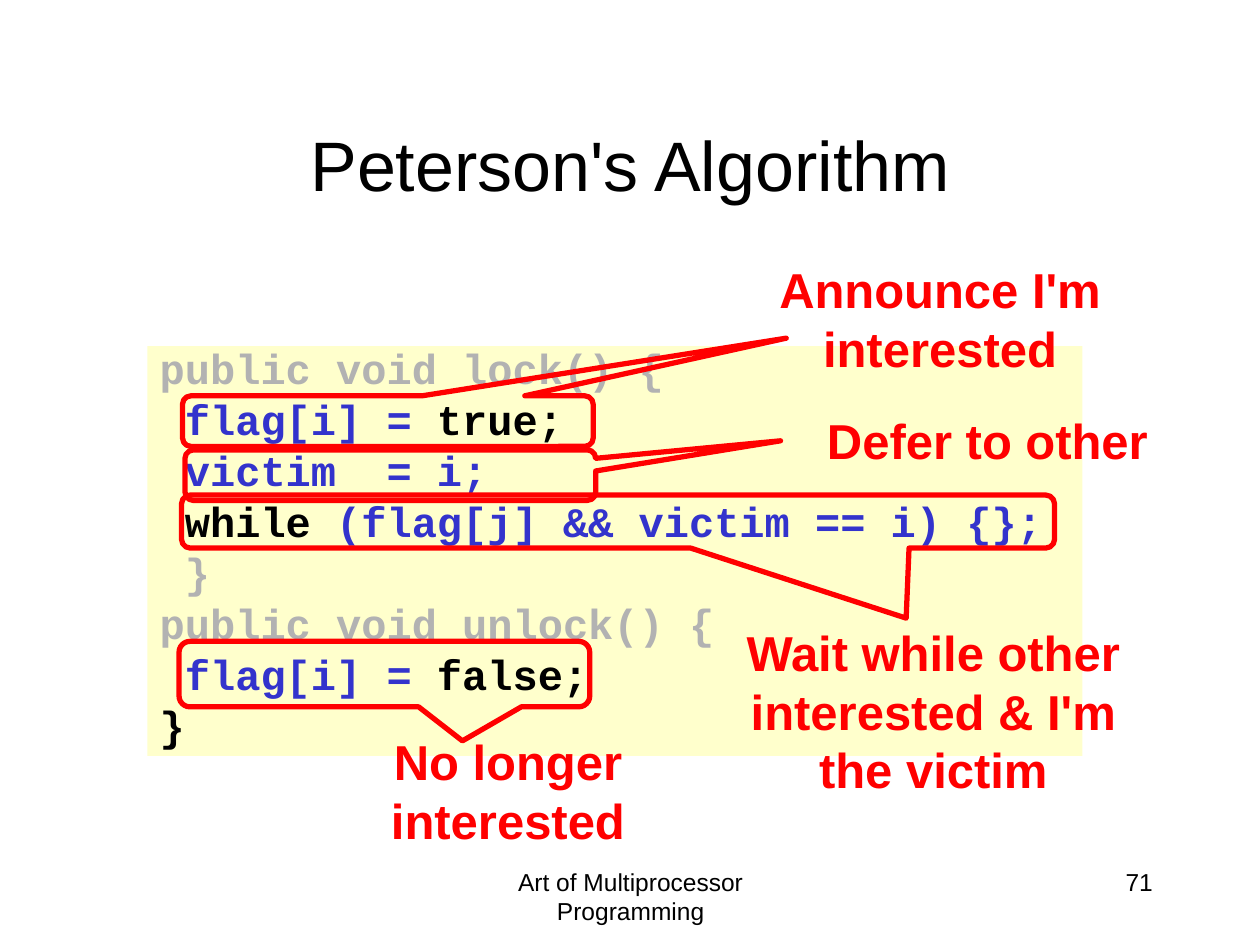
from dataclasses import dataclass

from pptx import Presentation
from pptx.dml.color import RGBColor
from pptx.enum.shapes import MSO_SHAPE
from pptx.enum.text import MSO_ANCHOR, PP_ALIGN
from pptx.slide import Slide
from pptx.text.text import Font
from pptx.util import Cm, Pt

RECTANGLE = MSO_SHAPE.RECTANGLE
CALLOUT = MSO_SHAPE.ROUNDED_RECTANGULAR_CALLOUT
TOP, MIDDLE = MSO_ANCHOR.TOP, MSO_ANCHOR.MIDDLE
LEFT, CENTER, RIGHT = PP_ALIGN.LEFT, PP_ALIGN.CENTER, PP_ALIGN.RIGHT


@dataclass(frozen=True)
class Theme:
    text_font: str = "Arial"
    code_font: str = "Courier New"
    black: str = "000000"
    red: str = "FF0000"
    blue: str = "3333CC"
    gray: str = "B2B2B2"
    code_fill: str = "FFFFCC"
    title_size: float = 40
    label_size: float = 28
    code_size: float = 24
    footer_size: float = 14
    outline: float = 3
    code_spacing: float = 0.8
    code_gap: float = 6.1


@dataclass(frozen=True)
class Box:
    left: float
    top: float
    width: float
    height: float

    def lengths(self) -> tuple[Cm, Cm, Cm, Cm]:
        return Cm(self.left), Cm(self.top), Cm(self.width), Cm(self.height)


@dataclass(frozen=True)
class Caption:
    text: str
    box: Box
    size: float
    color: str
    bold: bool = False
    align: PP_ALIGN = CENTER
    anchor: MSO_ANCHOR = TOP


@dataclass(frozen=True)
class Callout:
    box: Box
    tip_x: float
    tip_y: float


THEME = Theme()
CODE_BOX = Box(2.97, 6.98, 18.85, 8.26)
CODE_LINES = (
    (("public void lock() {", THEME.gray),),
    ((" flag[i] = ", THEME.blue), ("true;", THEME.black)),
    ((" victim  = i;", THEME.blue),),
    ((" while ", THEME.black), ("(flag[j] && victim == i) {};", THEME.blue)),
    ((" }", THEME.gray),),
    (("public void unlock() {", THEME.gray),),
    ((" flag[i] = ", THEME.blue), ("false;", THEME.black)),
    (("}", THEME.black),),
)
FRAME_CAPTIONS = (
    Caption("Art of Multiprocessor Programming", Box(8.69, 17.35, 8.05, 1.27),
            THEME.footer_size, THEME.black),
    Caption("71", Box(18.21, 17.35, 5.28, 1.27),
            THEME.footer_size, THEME.black, align=RIGHT),
    Caption("Peterson's Algorithm", Box(1.9, 1.7, 21.6, 3.18),
            THEME.title_size, THEME.black, anchor=MIDDLE),
)
LABELS = tuple(
    Caption(text, box, THEME.label_size, THEME.red, bold=True)
    for text, box in (
        ("No longer interested", Box(6.48, 14.63, 7.52, 2.62)),
        ("Announce I'm interested", Box(15.19, 5.11, 7.52, 2.62)),
        ("Defer to other", Box(15.6, 8.15, 8.61, 1.45)),
        ("Wait while other interested & I'm the victim",
         Box(14.05, 12.42, 9.53, 3.81)),
    )
)
CALLOUTS = (
    Callout(Box(3.68, 7.98, 8.28, 1.02), 0.97, -1.64),
    Callout(Box(3.73, 9.07, 8.28, 1.02), 0.95, -0.68),
    Callout(Box(3.61, 12.93, 8.28, 1.32), 0.19, 1.02),
    Callout(Box(3.66, 9.98, 17.6, 1.07), 0.33, 1.82),
)


def style_font(font: Font, name: str, size: float, bold: bool) -> None:
    font.name = name
    font.size = Pt(size)
    font.bold = bold


def add_caption(slide: Slide, caption: Caption) -> None:
    frame = slide.shapes.add_textbox(*caption.box.lengths()).text_frame
    frame.word_wrap = True
    frame.vertical_anchor = caption.anchor
    paragraph = frame.paragraphs[0]
    paragraph.text = caption.text
    paragraph.alignment = caption.align
    style_font(paragraph.font, THEME.text_font, caption.size, caption.bold)
    paragraph.font.color.rgb = RGBColor.from_string(caption.color)


def add_code(slide: Slide) -> None:
    shape = slide.shapes.add_shape(RECTANGLE, *CODE_BOX.lengths())
    shape.shadow.inherit = False
    shape.fill.solid()
    shape.fill.fore_color.rgb = RGBColor.from_string(THEME.code_fill)
    shape.line.fill.background()
    frame = shape.text_frame
    frame.word_wrap = True
    frame.vertical_anchor = TOP
    for index, line in enumerate(CODE_LINES):
        paragraph = frame.add_paragraph() if index else frame.paragraphs[0]
        paragraph.alignment = LEFT
        paragraph.line_spacing = THEME.code_spacing
        paragraph.space_before = Pt(THEME.code_gap if index else 0)
        style_font(paragraph.font, THEME.code_font, THEME.code_size, True)
        for text, color in line:
            run = paragraph.add_run()
            run.text = text
            run.font.color.rgb = RGBColor.from_string(color)


def add_callout(slide: Slide, callout: Callout) -> None:
    shape = slide.shapes.add_shape(CALLOUT, *callout.box.lengths())
    shape.shadow.inherit = False
    shape.fill.background()
    shape.line.color.rgb = RGBColor.from_string(THEME.red)
    shape.line.width = Pt(THEME.outline)
    shape.adjustments[0] = callout.tip_x
    shape.adjustments[1] = callout.tip_y


def main() -> None:
    """Build the slide that explains Peterson's lock line by line."""
    presentation = Presentation()
    presentation.slide_width, presentation.slide_height = Cm(25.4), Cm(19.05)
    slide = presentation.slides.add_slide(presentation.slide_layouts[6])
    for caption in FRAME_CAPTIONS:
        add_caption(slide, caption)
    add_code(slide)
    for callout in CALLOUTS:
        add_callout(slide, callout)
    for label in LABELS:
        add_caption(slide, label)
    presentation.save("out.pptx")


if __name__ == "__main__":
    main()
